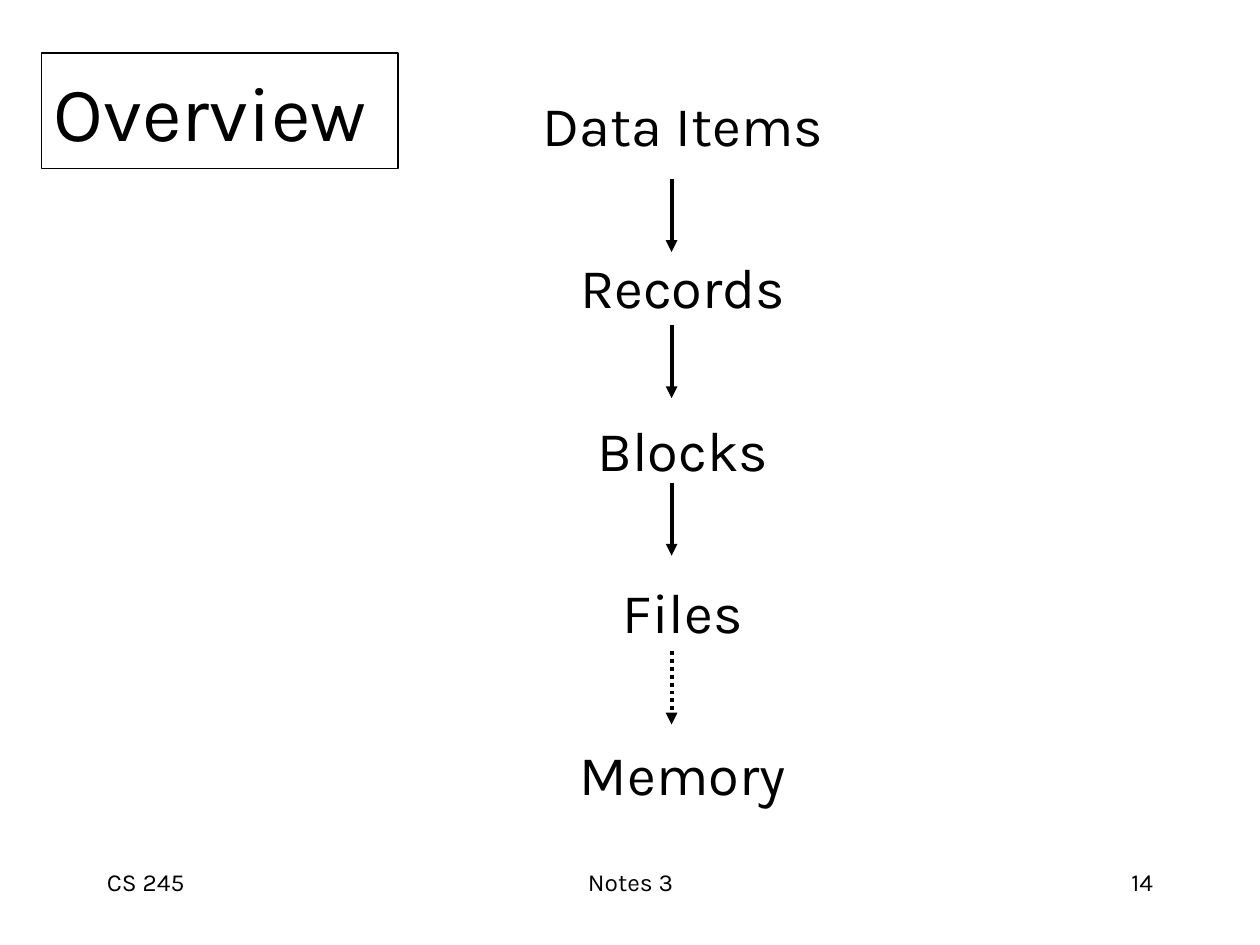
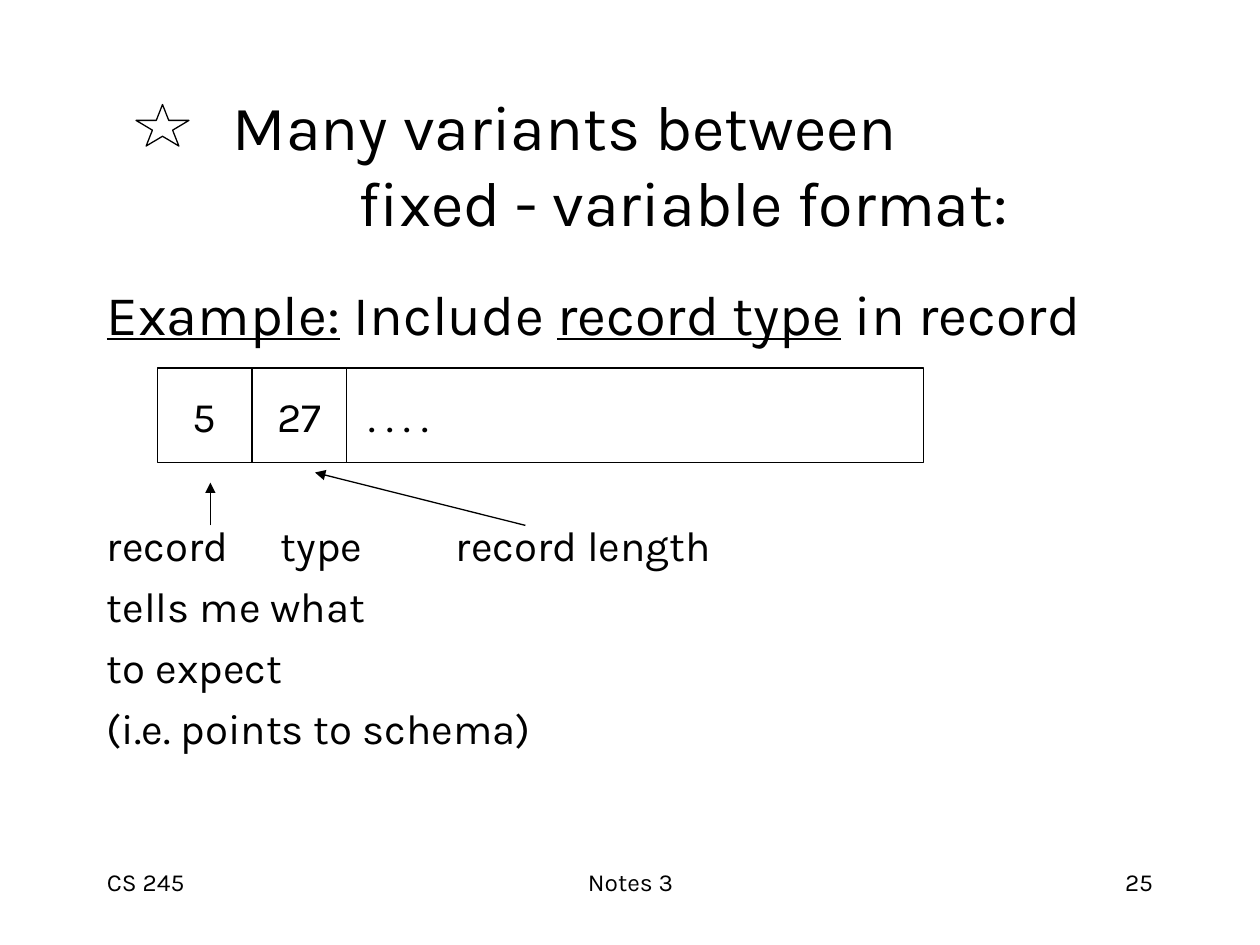
from dataclasses import dataclass

from lxml import etree
from pptx import Presentation
from pptx import util as u
from pptx.dml.color import RGBColor
from pptx.enum import dml, shapes, text
from pptx.oxml import ns

# Shared style
BLACK = RGBColor(0x00, 0x00, 0x00)
WHITE = RGBColor(0xFF, 0xFF, 0xFF)
FONT = "Karla"
THIN, THICK = 0.74, 2.24
LEFT, MID, RIGHT = text.PP_ALIGN.LEFT, text.PP_ALIGN.CENTER, text.PP_ALIGN.RIGHT
RECT = shapes.MSO_SHAPE.RECTANGLE
STAR = shapes.MSO_SHAPE.STAR_5_POINT


@dataclass
class Box:
    """Position and size in inches."""
    x: float
    y: float
    w: float
    h: float

    def dims(self) -> list:
        return [u.Inches(n) for n in (self.x, self.y, self.w, self.h)]


@dataclass
class Para:
    """Runs split at '|'; every other run is underlined, the first one too."""
    words: str
    size: float
    gap: float = 0
    align: int = LEFT
    tabs: tuple = ()
    marked: bool = False


@dataclass
class Arrow:
    """Line from start to tip, in inches."""
    start: tuple
    tip: tuple
    width: float = THIN
    dotted: bool = False


def add_tabs(para, stops: tuple) -> None:
    props = para._p.get_or_add_pPr()
    group = etree.SubElement(props, ns.qn("a:tabLst"))
    for stop in stops:
        etree.SubElement(group, ns.qn("a:tab"), pos=str(u.Inches(stop)), algn="l")


def write(shape, paras: list, middle: bool = False) -> None:
    frame = shape.text_frame
    frame.word_wrap = True
    anchor = text.MSO_ANCHOR
    frame.vertical_anchor = anchor.MIDDLE if middle else anchor.TOP
    for i, item in enumerate(paras):
        para = frame.add_paragraph() if i else frame.paragraphs[0]
        para.alignment = item.align
        para.space_before = u.Pt(item.gap)
        if item.tabs:
            add_tabs(para, item.tabs)
        if item.marked:
            for k, part in enumerate(item.words.split("|")):
                run = para.add_run()
                run.text = part
                run.font.underline = k % 2 == 0
        else:
            para.text = item.words
        for run in para.runs:
            run.font.name = FONT
            run.font.size = u.Pt(item.size)
            run.font.color.rgb = BLACK


def add_text(slide, box: Box, paras: list, middle: bool = False) -> None:
    write(slide.shapes.add_textbox(*box.dims()), paras, middle)


def add_shape(slide, kind, box: Box, paras: list) -> None:
    shape = slide.shapes.add_shape(kind, *box.dims())
    shape.shadow.inherit = False
    shape.fill.solid()
    shape.fill.fore_color.rgb = WHITE
    shape.line.color.rgb = BLACK
    shape.line.width = u.Pt(THIN)
    if paras:
        write(shape, paras, middle=True)


def add_arrow(slide, arrow: Arrow) -> None:
    ends = [u.Inches(n) for n in arrow.start + arrow.tip]
    link = slide.shapes.add_connector(shapes.MSO_CONNECTOR.STRAIGHT, *ends)
    link.line.color.rgb = BLACK
    link.line.width = u.Pt(arrow.width)
    if arrow.dotted:
        link.line.dash_style = dml.MSO_LINE.ROUND_DOT
    props = link._element.spPr
    etree.SubElement(props.find(ns.qn("a:ln")), ns.qn("a:tailEnd"), type="triangle")
    etree.SubElement(props, ns.qn("a:effectLst"))


def add_page(deck, number: int):
    slide = deck.slides.add_slide(deck.slide_layouts[6])
    feet = ((0.75, 2.08, "CS 245", LEFT), (3.42, 3.17, "Notes 3", MID),
            (7.17, 2.08, str(number), RIGHT))
    for x, w, words, align in feet:
        add_text(slide, Box(x, 6.83, w, 0.5), [Para(words, 14, align=align)])
    return slide


def overview(deck) -> None:
    slide = add_page(deck, 14)
    # Chain of storage levels
    names = ("Data Items", "Records", "Blocks", "Files", "Memory")
    paras = [Para(name, 32, 54.3 if i else 8, MID) for i, name in enumerate(names)]
    add_text(slide, Box(1.17, 0.67, 8.5, 5.92), paras)
    add_shape(slide, RECT, Box(0.33, 0.42, 2.83, 0.92), [Para("Overview", 44)])
    # Arrows between levels; the last one is dotted
    tops = (1.42, 2.58, 3.83, 5.17)
    for top in tops:
        add_arrow(slide, Arrow((5.33, top), (5.33, top + 0.58), THICK, top == tops[-1]))


def variants(deck) -> None:
    slide = add_page(deck, 25)
    # Title with star
    title = "\tMany variants between\v\t\tfixed - variable format:"
    add_text(slide, Box(0.75, 0.67, 8.5, 1.25), [Para(title, 36, tabs=(1, 2))], True)
    add_shape(slide, STAR, Box(1.08, 0.83, 0.42, 0.33), [])
    # Example and its notes, with room for the record between
    lead = "Example:| Include |record type| in record"
    notes = ("tells me what", "to expect", "(i.e. points to schema)")
    paras = [Para(lead, 32, 8, marked=True),
             Para("record\ttype\trecord length", 24, 98.6, tabs=(1.38, 2.77))]
    paras += [Para(note, 24, 6) for note in notes]
    add_text(slide, Box(0.75, 2.17, 8.5, 4.5), paras)
    # Record fields, side by side
    x = 1.25
    for words, w, align in (("5", 0.75, MID), ("27", 0.75, MID),
                            (" . . . . ", 4.58, LEFT)):
        add_shape(slide, RECT, Box(x, 2.92, w, 0.75), [Para(words, 24, align=align)])
        x += w
    # Pointers to the fields
    add_arrow(slide, Arrow((1.67, 4.17), (1.67, 3.83)))
    add_arrow(slide, Arrow((4.17, 4.17), (2.5, 3.75)))


def main() -> None:
    deck = Presentation()
    deck.slide_width, deck.slide_height = u.Inches(10), u.Inches(7.5)
    overview(deck)
    variants(deck)
    deck.save("out.pptx")


main()
